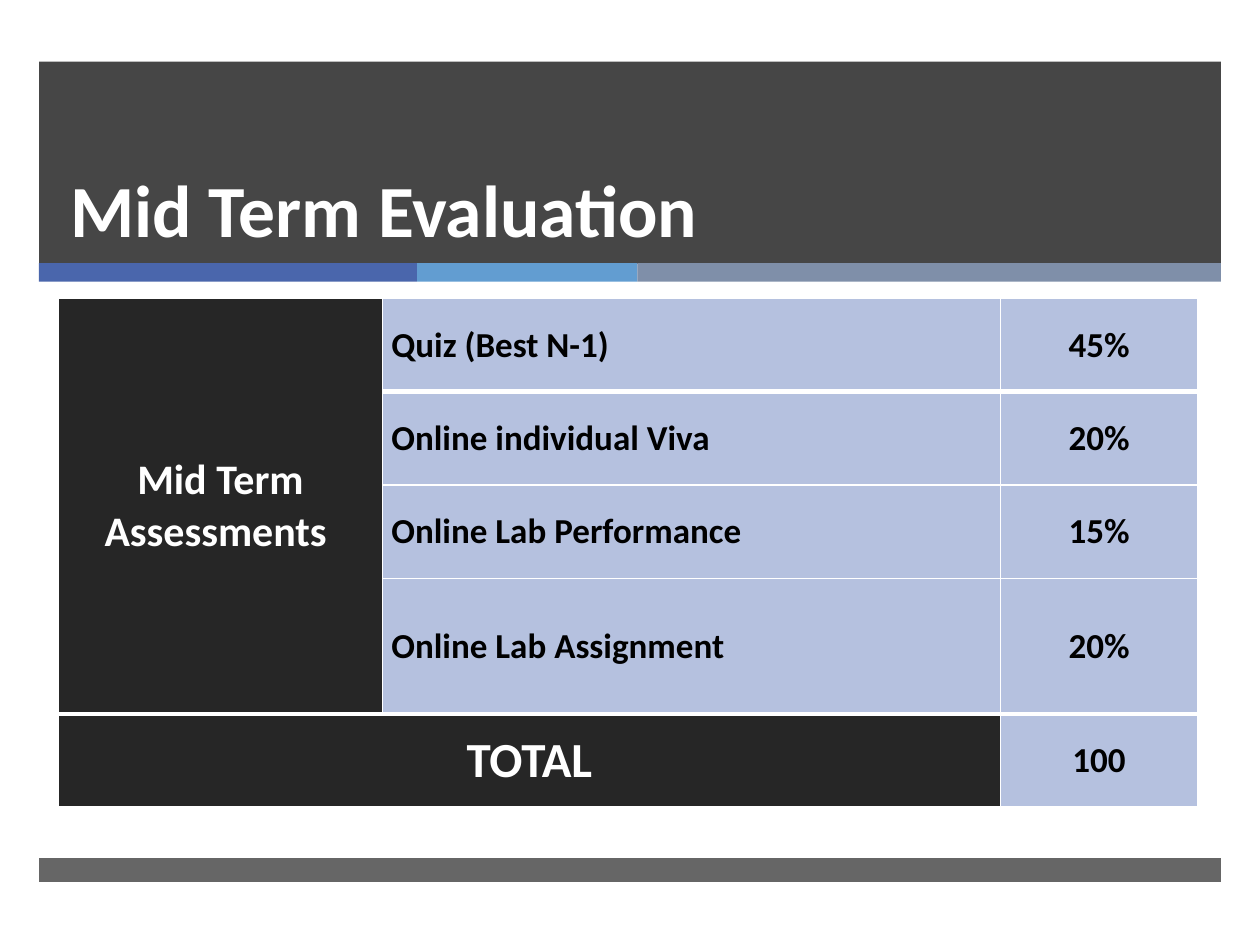
"""Build the Mid Term Evaluation slide with its table of assessment weights."""
from lxml import etree
from pptx import Presentation
from pptx.dml.color import RGBColor
from pptx.enum.shapes import MSO_SHAPE
from pptx.enum.text import MSO_ANCHOR, MSO_AUTO_SIZE, PP_ALIGN
from pptx.oxml.ns import qn
from pptx.util import Pt

RECT = MSO_SHAPE.RECTANGLE
LEFT, CENTER = PP_ALIGN.LEFT, PP_ALIGN.CENTER
MIDDLE, BOTTOM = MSO_ANCHOR.MIDDLE, MSO_ANCHOR.BOTTOM
NO_FIT = MSO_AUTO_SIZE.NONE

WHITE = RGBColor(0xFF, 0xFF, 0xFF)
BLACK = RGBColor(0, 0, 0)
DARK = RGBColor(0x26, 0x26, 0x26)
PALE = RGBColor(0xB5, 0xC1, 0xDF)
BLUE = RGBColor(0x4A, 0x66, 0xAC)
SKY = RGBColor(0x62, 0x9D, 0xD1)
SLATE = RGBColor(0x7F, 0x8F, 0xA9)

FONT = "Calibri"
MARGIN = 22.3
BAND_WIDTH = 675.4
STRIPES = [(216, BLUE), (126, SKY), (333.4, SLATE)]
COLUMNS = [185.2, 353, 113]
ROWS = [53.3, 53.3, 53.3, 77.5, 53.3]
THICK_BELOW = (0, 3)
ASSESSMENTS = [
    ("Quiz (Best N-1)", "45%"),
    ("Online individual Viva", "20%"),
    ("Online Lab Performance", "15%"),
    ("Online Lab Assignment", "20%"),
]


def add_bar(slide, left, top, width, height, color, opacity=100):
    """Add a borderless rectangle, with its opacity in percent."""
    sp = slide.shapes.add_shape(RECT, Pt(left), Pt(top), Pt(width), Pt(height))
    sp.shadow.inherit = False
    sp.line.fill.background()
    sp.fill.solid()
    sp.fill.fore_color.rgb = color
    if opacity < 100:
        clr = sp.fill._xPr.find(".//" + qn("a:srgbClr"))
        etree.SubElement(clr, qn("a:alpha"), val=str(opacity * 1000))


def format_paragraph(p, size, color, align):
    """Set the bold font and alignment of a paragraph."""
    p.alignment = align
    p.font.name = FONT
    p.font.size = Pt(size)
    p.font.bold = True
    p.font.color.rgb = color


def set_title(slide, text):
    """Fill the title placeholder and bring it in front of the band."""
    sp = slide.shapes.title
    sp.left, sp.top, sp.width, sp.height = Pt(33.1), Pt(44.6), Pt(555), Pt(103)
    tf = sp.text_frame
    tf.text = text
    tf.word_wrap = True
    tf.auto_size = NO_FIT
    tf.vertical_anchor = BOTTOM
    p = tf.paragraphs[0]
    p.line_spacing = Pt(46)
    format_paragraph(p, 42, WHITE, LEFT)
    slide.shapes._spTree.append(sp._element)


def set_borders(cell, top, bottom):
    """Draw white cell borders, with top and bottom widths in points."""
    tc_pr = cell._tc.get_or_add_tcPr()
    for tag, width in (("lnL", 1), ("lnR", 1), ("lnT", top), ("lnB", bottom)):
        ln = etree.SubElement(tc_pr, qn("a:" + tag), w=str(Pt(width)))
        fill = etree.SubElement(ln, qn("a:solidFill"))
        etree.SubElement(fill, qn("a:srgbClr"), val=str(WHITE))


def fill_cell(cell, text, size=20, color=BLACK, fill=PALE, align=CENTER):
    """Write and format the text and fill of a cell."""
    cell.fill.solid()
    cell.fill.fore_color.rgb = fill
    cell.vertical_anchor = MIDDLE
    cell.margin_left = cell.margin_right = Pt(5.1)
    cell.margin_top = cell.margin_bottom = 0
    cell.text = text
    for p in cell.text_frame.paragraphs:
        format_paragraph(p, size, color, align)


def add_weights_table(slide):
    """Add the table of assessments, their weights and the total."""
    frame = slide.shapes.add_table(
        len(ROWS), len(COLUMNS), Pt(33.4), Pt(170.6), Pt(sum(COLUMNS)), Pt(sum(ROWS))
    )
    table = frame.table
    table.first_row = table.horz_banding = False
    for column, width in zip(table.columns, COLUMNS):
        column.width = Pt(width)
    for i, (row, height) in enumerate(zip(table.rows, ROWS)):
        row.height = Pt(height)
        top = 3 if i - 1 in THICK_BELOW else 1
        bottom = 3 if i in THICK_BELOW else 1
        for cell in row.cells:
            set_borders(cell, top, bottom)

    last = len(ASSESSMENTS)
    table.cell(0, 0).merge(table.cell(last - 1, 0))
    table.cell(last, 0).merge(table.cell(last, 1))
    fill_cell(table.cell(0, 0), "Mid Term\nAssessments ", 24, WHITE, DARK)
    for i, (name, weight) in enumerate(ASSESSMENTS):
        fill_cell(table.cell(i, 1), name, align=LEFT)
        fill_cell(table.cell(i, 2), weight)
    fill_cell(table.cell(last, 0), "TOTAL", 28, WHITE, DARK)
    fill_cell(table.cell(last, 2), "100")


def main():
    """Build and save the slide."""
    prs = Presentation()
    prs.slide_width, prs.slide_height = Pt(720), Pt(540)
    slide = prs.slides.add_slide(prs.slide_layouts[5])
    add_bar(slide, MARGIN, 35.2, BAND_WIDTH, 115.6, DARK, 85)
    left = MARGIN
    for width, color in STRIPES:
        add_bar(slide, left, 150.4, width, 10.6, color)
        left += width
    add_bar(slide, MARGIN, 490.3, BAND_WIDTH, 13.7, DARK, 70)
    set_title(slide, "Mid Term Evaluation")
    add_weights_table(slide)
    prs.save("out.pptx")


if __name__ == "__main__":
    main()
